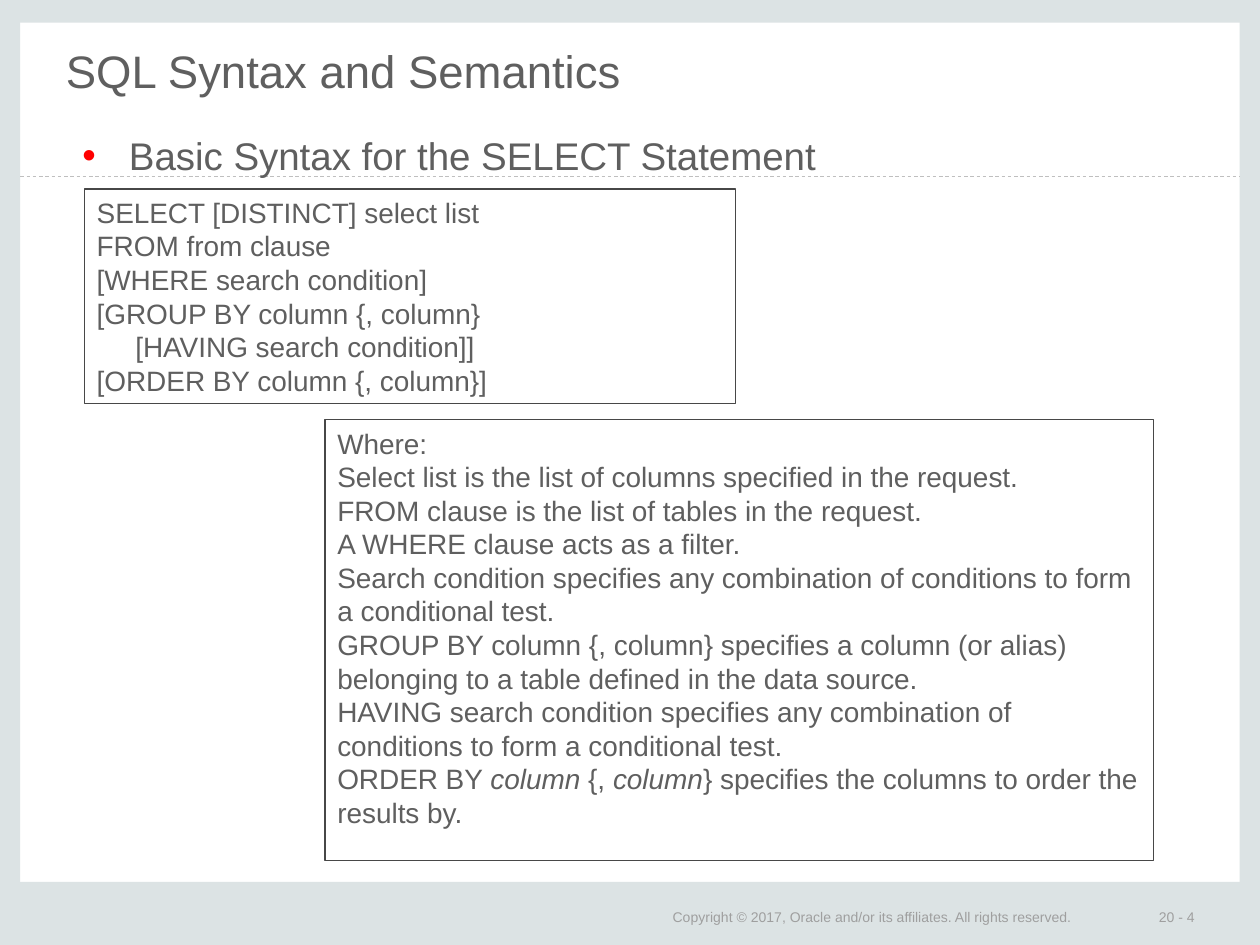
from lxml.etree import SubElement
from pptx import Presentation
from pptx.dml.color import RGBColor
from pptx.enum.dml import MSO_LINE
from pptx.enum.shapes import MSO_CONNECTOR, MSO_SHAPE
from pptx.enum.text import MSO_ANCHOR, PP_ALIGN
from pptx.oxml.ns import qn
from pptx.util import Cm, Pt

WIDTH, HEIGHT = 25.4, 19.05
SIDE, TOP, BOTTOM = 0.41, 0.46, 1.27
FRAME, DASH, BORDER = "DCE3E4", "BFBFBF", "474747"
TEXT, FOOTER, BULLET = "5F5F5F", "9F9F9F", "FF0000"

SYNTAX = [
    "SELECT [DISTINCT] select list",
    "FROM from clause",
    "[WHERE search condition]",
    "[GROUP BY column {, column}",
    "     [HAVING search condition]]",
    "[ORDER BY column {, column}]",
]
# Words between asterisks are italic.
EXPLANATION = [
    "Where:",
    "Select list is the list of columns specified in the request.",
    "FROM clause is the list of tables in the request.",
    "A WHERE clause acts as a filter.",
    "Search condition specifies any combination of conditions to form a conditional test.",
    "GROUP BY column {, column} specifies a column (or alias) belonging to a table "
    "defined in the data source.",
    "HAVING search condition specifies any combination of conditions to form a conditional test.",
    "ORDER BY *column* {, *column*} specifies the columns to order the results by.",
]


def color(value):
    return RGBColor.from_string(value)


def add_rectangle(slide, left, top, width, height):
    shape = slide.shapes.add_shape(
        MSO_SHAPE.RECTANGLE, Cm(left), Cm(top), Cm(width), Cm(height))
    shape.shadow.inherit = False
    return shape


def add_frame_bar(slide, left, top, width, height):
    shape = add_rectangle(slide, left, top, width, height)
    shape.fill.solid()
    shape.fill.fore_color.rgb = color(FRAME)
    shape.line.fill.background()


def add_dashed_rule(slide, top):
    rule = slide.shapes.add_connector(
        MSO_CONNECTOR.STRAIGHT, Cm(SIDE), Cm(top), Cm(WIDTH - SIDE), Cm(top))
    rule.line.color.rgb = color(DASH)
    rule.line.width = Pt(0.5)
    rule.line.dash_style = MSO_LINE.DASH
    SubElement(rule._element.spPr, qn("a:effectLst"))


def set_insets(text_frame, side, top):
    text_frame.margin_left = text_frame.margin_right = Cm(side)
    text_frame.margin_top = text_frame.margin_bottom = Cm(top)


def format_runs(paragraph, size, value):
    for run in paragraph.runs:
        run.font.name = "Arial"
        run.font.size = Pt(size)
        run.font.color.rgb = color(value)


def add_text(slide, text, left, top, width, height, size, value, insets, anchor):
    box = slide.shapes.add_textbox(Cm(left), Cm(top), Cm(width), Cm(height))
    frame = box.text_frame
    frame.word_wrap = True
    frame.vertical_anchor = anchor
    set_insets(frame, *insets)
    frame.text = text
    format_runs(frame.paragraphs[0], size, value)
    return frame.paragraphs[0]


def add_heading(slide, text, top, height, size):
    return add_text(slide, text, 1.3, top, 22.8, height, size, TEXT,
                    (0.03, 0.13), MSO_ANCHOR.TOP)


def add_footer(slide, text, left, width):
    add_text(slide, text, left, 18.21, width, 0.54, 8, FOOTER,
             (0.25, 0.13), MSO_ANCHOR.MIDDLE)


def set_bullet(paragraph):
    properties = paragraph._p.get_or_add_pPr()
    properties.set("marL", str(Cm(1.27)))
    properties.set("indent", str(Cm(-0.94)))
    bullet_color = SubElement(properties, qn("a:buClr"))
    SubElement(bullet_color, qn("a:srgbClr"), val=BULLET)
    SubElement(properties, qn("a:buFont"), typeface="Arial")
    SubElement(properties, qn("a:buChar"), char="•")


def add_outlined_box(slide, lines, left, top, width, height):
    shape = add_rectangle(slide, left, top, width, height)
    shape.fill.background()
    shape.line.color.rgb = color(BORDER)
    shape.line.width = Pt(0.75)
    frame = shape.text_frame
    frame.word_wrap = True
    frame.vertical_anchor = MSO_ANCHOR.TOP
    set_insets(frame, 0.25, 0.13)
    for index, line in enumerate(lines):
        paragraph = frame.add_paragraph() if index else frame.paragraphs[0]
        paragraph.alignment = PP_ALIGN.LEFT
        for position, piece in enumerate(line.split("*")):
            run = paragraph.add_run()
            run.text = piece
            run.font.italic = position % 2 == 1
        format_runs(paragraph, 16, TEXT)


def main():
    presentation = Presentation()
    presentation.slide_width, presentation.slide_height = Cm(WIDTH), Cm(HEIGHT)
    slide = presentation.slides.add_slide(presentation.slide_layouts[6])

    for left in (0, WIDTH - SIDE):
        add_frame_bar(slide, left, 0, SIDE, HEIGHT)
    add_dashed_rule(slide, 3.56)
    add_frame_bar(slide, 0, HEIGHT - BOTTOM, WIDTH, BOTTOM)
    add_frame_bar(slide, 0, 0, WIDTH, TOP)
    add_footer(slide, "20 - 4", 23.11, 2.26)
    add_footer(slide, "Copyright © 2017, Oracle and/or its affiliates. All rights reserved.",
               13.31, 10.19)

    add_heading(slide, "SQL Syntax and Semantics", 0.74, 2.44, 26)
    set_bullet(add_heading(slide, "Basic Syntax for the SELECT Statement", 2.54, 4.85, 22))
    add_outlined_box(slide, SYNTAX, 1.7, 3.81, 13.13, 4.32)
    add_outlined_box(slide, EXPLANATION, 6.55, 8.46, 16.71, 8.89)

    presentation.save("out.pptx")


if __name__ == "__main__":
    main()
